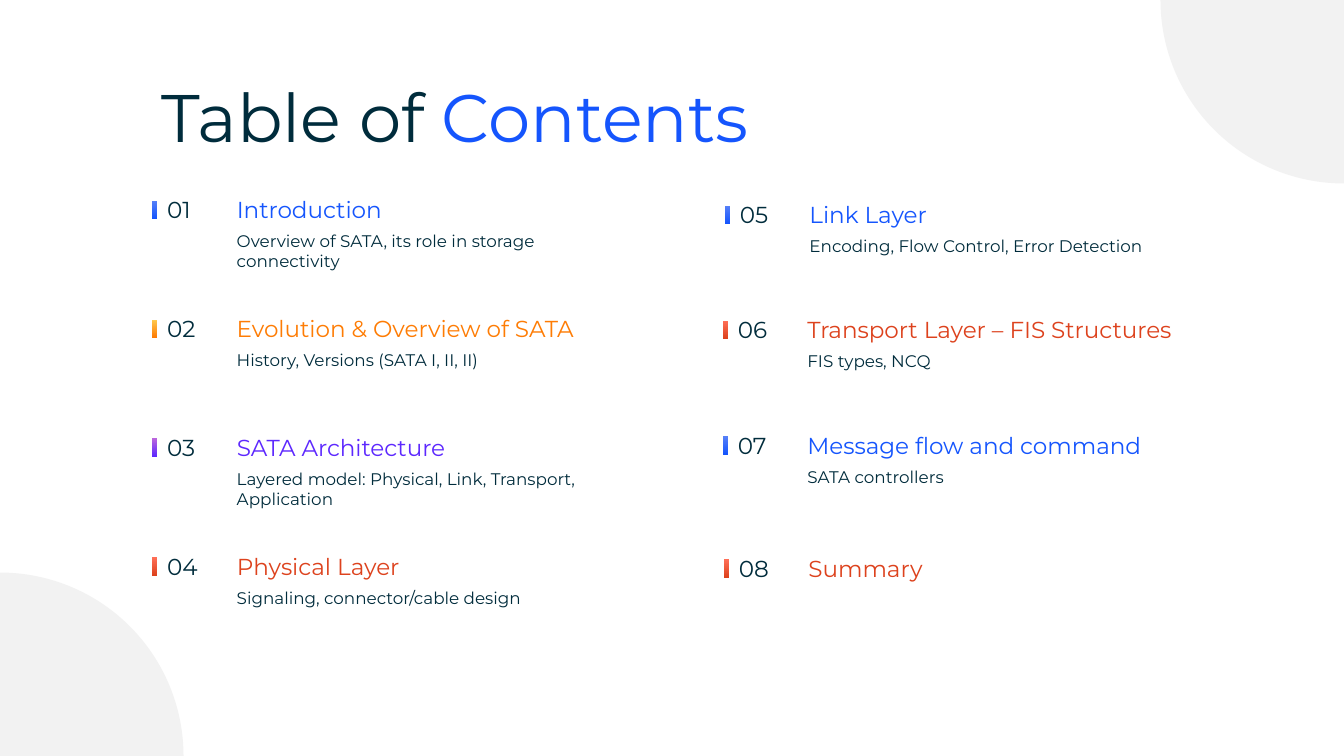
from typing import NamedTuple

from pptx import Presentation
from pptx.dml.color import RGBColor as RGB
from pptx.enum.shapes import MSO_SHAPE as Kind
from pptx.enum.text import MSO_AUTO_SIZE as Auto
from pptx.util import Inches, Pt

FONT = "Montserrat"
INK = RGB(0x00, 0x2C, 0x3C)
GREY = RGB(0xF2, 0xF2, 0xF2)


class Tone(NamedTuple):
    main: RGB
    light: RGB


BLUE = Tone(RGB(0x15, 0x55, 0xFD), RGB(0x56, 0x80, 0xF8))
ORANGE = Tone(RGB(0xFE, 0x7C, 0x04), RGB(0xFF, 0xCA, 0x4E))
PURPLE = Tone(RGB(0x5D, 0x28, 0xFE), RGB(0xBB, 0x66, 0xDD))
RED = Tone(RGB(0xDD, 0x42, 0x1D), RGB(0xFF, 0x6F, 0x57))


class Run(NamedTuple):
    text: str
    color: RGB


class Topic(NamedTuple):
    x: float
    y: float
    width: float
    num_width: float
    tone: Tone
    title: str
    note: str = ""


class Corner(NamedTuple):
    x: float
    y: float
    turn: int


LEFT, TOP, STEP = 2.25, 1.89, 1.18
TOPICS = [
    Topic(LEFT, TOP, 1.75, 0.45, BLUE, "Introduction",
          "Overview of SATA, its role in storage connectivity"),
    Topic(LEFT, TOP + STEP, 3.9, 0.5, ORANGE, "Evolution & Overview of SATA",
          "History, Versions (SATA I, II, II)"),
    Topic(LEFT, TOP + 2 * STEP, 2.49, 0.5, PURPLE, "SATA Architecture",
          "Layered model: Physical, Link, Transport, Application"),
    Topic(LEFT, TOP + 3 * STEP, 1.98, 0.52, RED, "Physical Layer",
          "Signaling, connector/cable design"),
    Topic(7.93, 1.94, 1.49, 0.5, BLUE, "Link Layer",
          "Encoding, Flow Control, Error Detection"),
    Topic(7.91, 3.08, 4.14, 0.51, RED, "Transport Layer – FIS Structures",
          "FIS types, NCQ"),
    Topic(7.91, 4.23, 3.8, 0.51, BLUE, "Message flow and command",
          "SATA controllers"),
    Topic(7.92, 5.45, 1.39, 0.51, RED, "Summary"),
]
RADIUS = 1.82
CORNERS = [Corner(0, 7.5 - RADIUS, 90), Corner(13.33 - RADIUS, 0, 270)]


def add_text(shapes, x: float, y: float, width: float, height: float,
             size: float, runs: list[Run], wrap: bool = False) -> None:
    box = shapes.add_textbox(Inches(x), Inches(y), Inches(width), Inches(height))
    frame = box.text_frame
    frame.word_wrap = wrap
    frame.auto_size = Auto.SHAPE_TO_FIT_TEXT
    for item in runs:
        run = frame.paragraphs[0].add_run()
        run.text = item.text
        run.font.name = FONT
        run.font.size = Pt(size)
        run.font.color.rgb = item.color


def add_corner(shapes, corner: Corner) -> None:
    wedge = shapes.add_shape(Kind.PIE_WEDGE, Inches(corner.x), Inches(corner.y),
                             Inches(RADIUS), Inches(RADIUS))
    wedge.rotation = corner.turn
    wedge.shadow.inherit = False
    wedge.fill.solid()
    wedge.fill.fore_color.rgb = GREY
    wedge.line.fill.background()


def add_bar(shapes, x: float, y: float, tone: Tone) -> None:
    bar = shapes.add_shape(Kind.RECTANGLE, Inches(x), Inches(y),
                           Inches(0.05), Inches(0.18))
    bar.shadow.inherit = False
    bar.line.fill.background()
    bar.fill.gradient()
    bar.fill.gradient_angle = 90
    for stop, color in zip(bar.fill.gradient_stops, tone):
        stop.color.rgb = color


def add_topic(shapes, index: int, topic: Topic) -> None:
    group = shapes.add_group_shape().shapes
    x, y = topic.x, topic.y
    add_text(group, x, y, topic.width, 0.38, 16.5,
             [Run(topic.title, topic.tone.main)])
    if topic.note:
        height = 0.5 if len(topic.note) > 40 else 0.3
        add_text(group, x, y + 0.35, 4.16, height, 12,
                 [Run(topic.note, INK)], wrap=True)
    add_text(group, x - 0.69, y, topic.num_width, 0.38, 16.5,
             [Run(f"{index:02}", INK)])
    add_bar(group, x - 0.74, y + 0.1, topic.tone)


def main() -> None:
    deck = Presentation()
    deck.slide_width, deck.slide_height = Inches(13.33), Inches(7.5)
    shapes = deck.slides.add_slide(deck.slide_layouts[6]).shapes

    # Heading
    add_text(shapes, 1.5, 0.7, 6.56, 0.91, 48,
             [Run("Table of ", INK), Run("Contents", BLUE.main)])

    # Corner quarter circles
    for corner in CORNERS:
        add_corner(shapes, corner)

    # Numbered topics
    for index, topic in enumerate(TOPICS, 1):
        add_topic(shapes, index, topic)

    deck.save("out.pptx")


if __name__ == "__main__":
    main()
